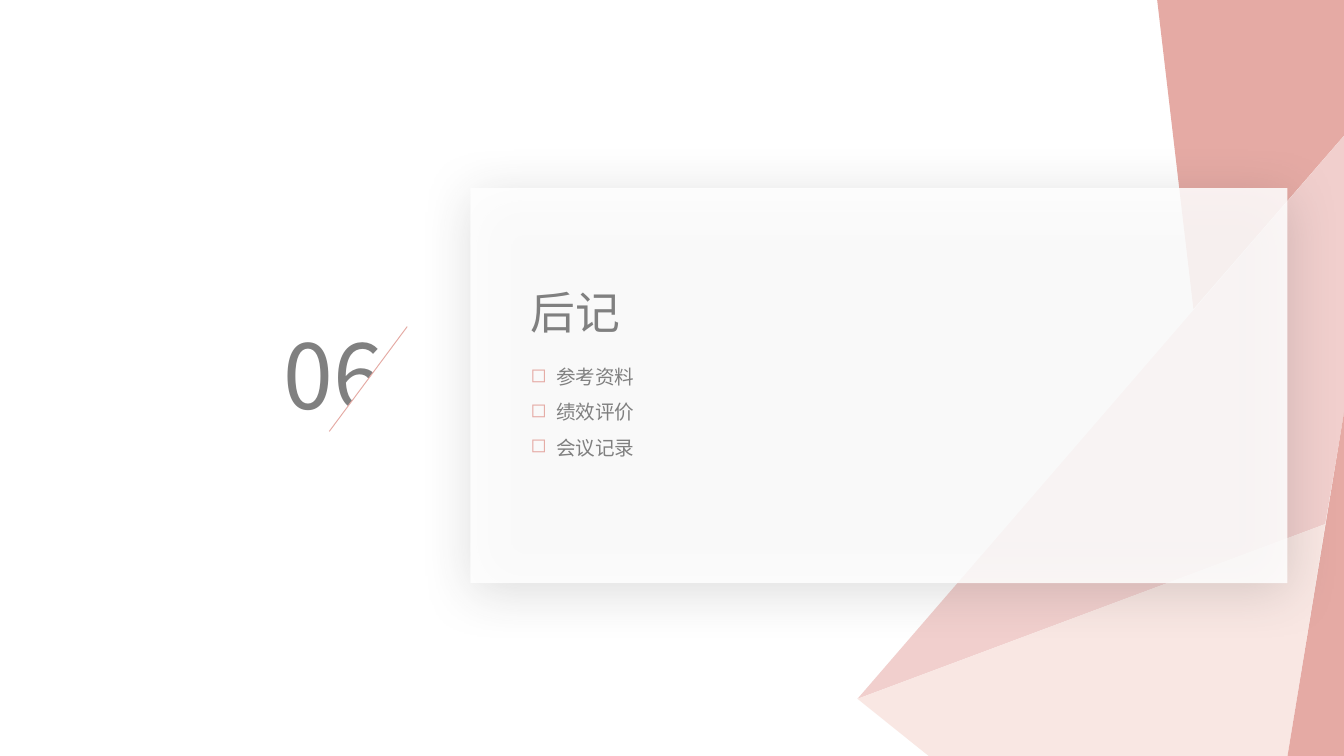
from dataclasses import dataclass

import pptx
import pptx.dml.color
import pptx.enum.shapes
import pptx.enum.text
import pptx.oxml
import pptx.oxml.ns
import pptx.util
from lxml import etree

Inches = pptx.util.Inches
Pt = pptx.util.Pt
qn = pptx.oxml.ns.qn
SHAPE = pptx.enum.shapes.MSO_SHAPE

FONT = "Noto Sans CJK SC"
WHITE, GRAY, ROSE, PINK, CREAM = "FFFFFF", "808080", "E5AAA4", "F1CFCD", "F9E7E3"
WIDTH = 10
HEIGHT = WIDTH * 9 / 16


@dataclass
class Facet:
    points: list[tuple[float, float]]
    color: str


@dataclass
class TextBlock:
    box: tuple[float, float, float, float]
    lines: list[str]
    size: float
    wrap: bool = True
    bulleted: bool = False


TIP, FOLD, EDGE, FOOT = (6.38, 5.2), (9.86, 3.9), (WIDTH, 3.07), (9.58, HEIGHT)
RIGHT = (WIDTH, 1.01)

FACETS = [
    Facet([(8.88, 2.3), (8.61, 0), (WIDTH, 0), RIGHT], ROSE),
    Facet([TIP, FOLD, EDGE, RIGHT], PINK),
    Facet([TIP, (6.91, HEIGHT), FOOT, FOLD], CREAM),
    Facet([FOOT, (WIDTH, HEIGHT), EDGE], ROSE),
]
NUMBER = TextBlock((2.01, 2.33, 0.98, 0.91), ["06"], 48)
TITLE = TextBlock((3.85, 2.07, 0.87, 0.5), ["后记"], 24, wrap=False)
TOPICS = TextBlock(
    (3.85, 2.58, 2.5, 0.9), ["参考资料", "绩效评价", "会议记录"], 10.5, bulleted=True
)


def rgb(color: str) -> pptx.dml.color.RGBColor:
    return pptx.dml.color.RGBColor.from_string(color)


def paint(sp, color: str) -> None:
    sp.shadow.inherit = False
    sp.fill.solid()
    sp.fill.fore_color.rgb = rgb(color)
    sp.line.fill.background()


def add_facet(shapes, facet: Facet) -> None:
    start, *rest = [(Inches(x), Inches(y)) for x, y in facet.points]
    builder = shapes.build_freeform(*start)
    builder.add_line_segments(rest, close=True)
    paint(builder.convert_to_shape(), facet.color)


def add_shape(shapes, kind, box: tuple[float, float, float, float], color: str):
    sp = shapes.add_shape(kind, *map(Inches, box))
    paint(sp, color)
    return sp


def add_card(shapes) -> None:
    sp = add_shape(shapes, SHAPE.RECTANGLE, (3.5, 1.4, 6.08, 2.94), WHITE)
    spPr = sp._element.spPr
    clr = spPr.find(qn("a:solidFill"))[0]
    etree.SubElement(clr, qn("a:alpha"), val="85000")
    shadow = etree.SubElement(
        spPr.find(qn("a:effectLst")), qn("a:outerShdw"), blurRad=str(Pt(29)),
        dist=str(Pt(5)), dir=str(77 * 60000), algn="ctr", rotWithShape="0",
    )
    tint = etree.SubElement(shadow, qn("a:srgbClr"), val="333333")
    etree.SubElement(tint, qn("a:alpha"), val="20000")


def add_bullet(p) -> None:
    p.line_spacing = 1.5
    pPr = p._p.get_or_add_pPr()
    pPr.set("marL", str(Inches(0.19)))
    pPr.set("indent", str(-Inches(0.19)))
    clr = etree.SubElement(pPr, qn("a:buClr"))
    etree.SubElement(clr, qn("a:srgbClr"), val=ROSE)
    etree.SubElement(pPr, qn("a:buChar"), char="◻")


def add_text(shapes, block: TextBlock) -> None:
    tf = shapes.add_textbox(*map(Inches, block.box)).text_frame
    frame_format = {
        "word_wrap": block.wrap,
        "auto_size": pptx.enum.text.MSO_AUTO_SIZE.SHAPE_TO_FIT_TEXT,
    }
    for name, value in frame_format.items():
        setattr(tf, name, value)
    for i, line in enumerate(block.lines):
        p = tf.add_paragraph() if i else tf.paragraphs[0]
        if block.bulleted:
            add_bullet(p)
        r = p.add_run()
        r.text = line
        for name, value in {"name": FONT, "size": Pt(block.size)}.items():
            setattr(r.font, name, value)
        r.font.color.rgb = rgb(GRAY)
        etree.SubElement(r._r.get_or_add_rPr(), qn("a:ea"), typeface=FONT)


def add_slash(shapes) -> None:
    sp = add_shape(shapes, SHAPE.RIGHT_TRIANGLE, (2.35, 2.53, 0.78, 0.58), WHITE)
    sp.rotation = 270
    line = shapes.add_connector(
        pptx.enum.shapes.MSO_CONNECTOR.STRAIGHT,
        *map(Inches, (3.03, 2.43, 2.45, 3.21)),
    )
    line.line.color.rgb = rgb(ROSE)
    line.line.width = Pt(0.5)
    etree.SubElement(line._element.spPr, qn("a:effectLst"))


def main() -> None:
    prs = pptx.Presentation()
    prs.slide_width, prs.slide_height = Inches(WIDTH), Inches(HEIGHT)
    s = prs.slides.add_slide(prs.slide_layouts[6])
    for facet in FACETS:
        add_facet(s.shapes, facet)
    add_card(s.shapes)
    add_text(s.shapes, NUMBER)
    add_text(s.shapes, TITLE)
    add_slash(s.shapes)
    add_text(s.shapes, TOPICS)
    prs.save("out.pptx")


if __name__ == "__main__":
    main()
